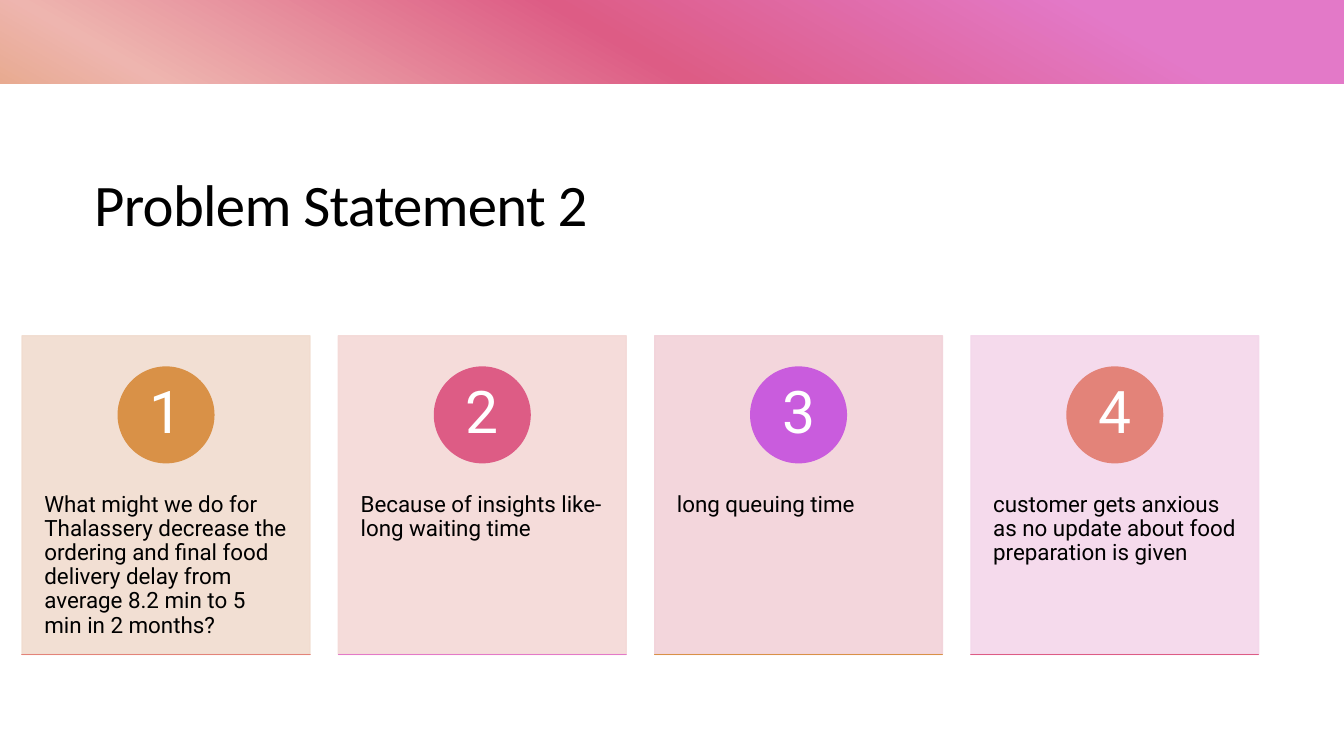
from dataclasses import dataclass

from lxml.etree import SubElement
from pptx import Presentation
from pptx.dml.color import RGBColor
from pptx.enum.shapes import MSO_SHAPE
from pptx.enum.text import MSO_ANCHOR, MSO_AUTO_SIZE, PP_ALIGN
from pptx.oxml.ns import qn
from pptx.util import Cm, Pt


@dataclass(frozen=True)
class Theme:
    heading_font: str = "Calibri"
    body_font: str = "Roboto"
    display_size: int = 42
    body_size: int = 16
    ink: str = "000000"
    paper: str = "FFFFFF"
    orange: str = "D99147"
    rose: str = "DD5C85"
    violet: str = "C95CDD"
    coral: str = "E38379"
    pink: str = "E379C8"
    blush: str = "EEB5AF"
    olive: str = "A7A259"
    sand_tint: str = "F1DCCF"
    coral_tint: str = "F4D9D7"
    rose_tint: str = "F2D2D9"
    pink_tint: str = "F4D7EB"


class SlideBuilder:
    def __init__(self, slide, theme):
        self.slide = slide
        self.theme = theme
        self.shapes = slide.shapes

    def start_group(self):
        self.shapes = self.slide.shapes.add_group_shape().shapes

    def shape(self, kind, left, top, width, height, color, opacity=100, outlined=True):
        shape = self.shapes.add_shape(kind, Cm(left), Cm(top), Cm(width), Cm(height))
        shape.shadow.inherit = False
        shape.fill.solid()
        shape.fill.fore_color.rgb = RGBColor.from_string(color)
        if outlined:
            shape.line.color.rgb = RGBColor.from_string(color)
            shape.line.width = Pt(1)
        else:
            shape.line.fill.background()
        if opacity < 100:
            for color_node in shape.element.spPr.iter(qn("a:srgbClr")):
                SubElement(color_node, qn("a:alpha"), val=str(opacity * 1000))
        return shape

    def gradient(self, left, top, width, height, colors, angle):
        backdrop = self.shape(MSO_SHAPE.RECTANGLE, left, top, width, height,
                              colors[0], outlined=False)
        backdrop.fill.gradient()
        gradient = backdrop.element.spPr.find(qn("a:gradFill"))
        stops = gradient.find(qn("a:gsLst"))
        for stop in list(stops):
            stops.remove(stop)
        for index, color in enumerate(colors):
            stop = SubElement(stops, qn("a:gs"), pos=str(10000 + 20000 * index))
            SubElement(stop, qn("a:srgbClr"), val=color)
        gradient.find(qn("a:lin")).set("ang", str(angle * 60000))

    def fill_frame(self, frame, text, font, size, color, spacing, align=PP_ALIGN.LEFT):
        frame.word_wrap = True
        frame.auto_size = MSO_AUTO_SIZE.NONE
        paragraph = frame.paragraphs[0]
        paragraph.alignment = align
        paragraph.line_spacing = spacing
        run = paragraph.add_run()
        run.text = text
        run.font.name = font
        run.font.size = Pt(size)
        run.font.color.rgb = RGBColor.from_string(color)

    def title(self, text, left, top, width, height):
        theme = self.theme
        heading = self.slide.shapes.title
        heading.left, heading.top = Cm(left), Cm(top)
        heading.width, heading.height = Cm(width), Cm(height)
        heading.text_frame.vertical_anchor = MSO_ANCHOR.TOP
        self.fill_frame(heading.text_frame, text, theme.heading_font,
                        theme.display_size, theme.ink, 0.95)
        for run_properties in heading.element.iter(qn("a:rPr")):
            run_properties.set("spc", "-50")
        heading.element.getparent().append(heading.element)

    def text(self, text, left, top, width, height, size, color, insets,
             align=PP_ALIGN.LEFT, anchor=MSO_ANCHOR.TOP):
        frame = self.shapes.add_textbox(Cm(left), Cm(top), Cm(width), Cm(height)).text_frame
        frame.margin_left = frame.margin_right = Cm(insets[0])
        frame.margin_top = frame.margin_bottom = Cm(insets[1])
        frame.vertical_anchor = anchor
        self.fill_frame(frame, text, self.theme.body_font, size, color, 0.9, align)

    def card(self, left, number, statement, tint, badge_color, rule_color):
        theme = self.theme
        top, width, height = 8.46, 7.25, 8.03
        badge, digit = 2.41, 1.7
        badge_left, badge_top = left + (width - badge) / 2, 9.25
        digit_shift = (badge - digit) / 2
        self.shape(MSO_SHAPE.RECTANGLE, left, top, width, height, tint, opacity=90)
        self.text(statement, left, 11.51, width, 4.83,
                  theme.body_size, theme.ink, (0.56, 0.91))
        self.shape(MSO_SHAPE.OVAL, badge_left, badge_top, badge, badge, badge_color)
        self.text(str(number), badge_left + digit_shift, badge_top + digit_shift,
                  digit, digit, theme.display_size, theme.paper, (0.18, 0.03),
                  PP_ALIGN.CENTER, MSO_ANCHOR.MIDDLE)
        self.shape(MSO_SHAPE.RECTANGLE, left, top + height, width, 0, rule_color)


def main():
    theme = Theme()
    slide_width, slide_height, band_height = 33.87, 19.05, 2.12
    presentation = Presentation()
    presentation.slide_width = Cm(slide_width)
    presentation.slide_height = Cm(slide_height)
    slide = presentation.slides.add_slide(presentation.slide_layouts[5])
    builder = SlideBuilder(slide, theme)

    builder.gradient(0, 0, slide_width, slide_height,
                     [theme.pink, theme.rose, theme.blush, theme.orange, theme.olive], 120)
    builder.shape(MSO_SHAPE.RECTANGLE, 0, band_height, slide_width,
                  slide_height - band_height, theme.paper, outlined=False)
    builder.title("Problem Statement 2", 2.12, 4.22, 29.63, 3.73)

    statements = [
        ("What might we do for Thalassery decrease the ordering and final food "
         "delivery delay from average 8.2 min to 5 min in 2 months?",
         theme.sand_tint, theme.orange, theme.coral),
        ("Because of insights like- long waiting time",
         theme.coral_tint, theme.rose, theme.pink),
        ("long queuing time", theme.rose_tint, theme.violet, theme.orange),
        ("customer gets anxious as no update about food preparation is given",
         theme.pink_tint, theme.coral, theme.rose),
    ]
    first_left, pitch = 0.56, 7.97
    builder.start_group()
    for index, (statement, tint, badge_color, rule_color) in enumerate(statements):
        builder.card(first_left + index * pitch, index + 1, statement,
                     tint, badge_color, rule_color)

    presentation.save("out.pptx")


if __name__ == "__main__":
    main()
